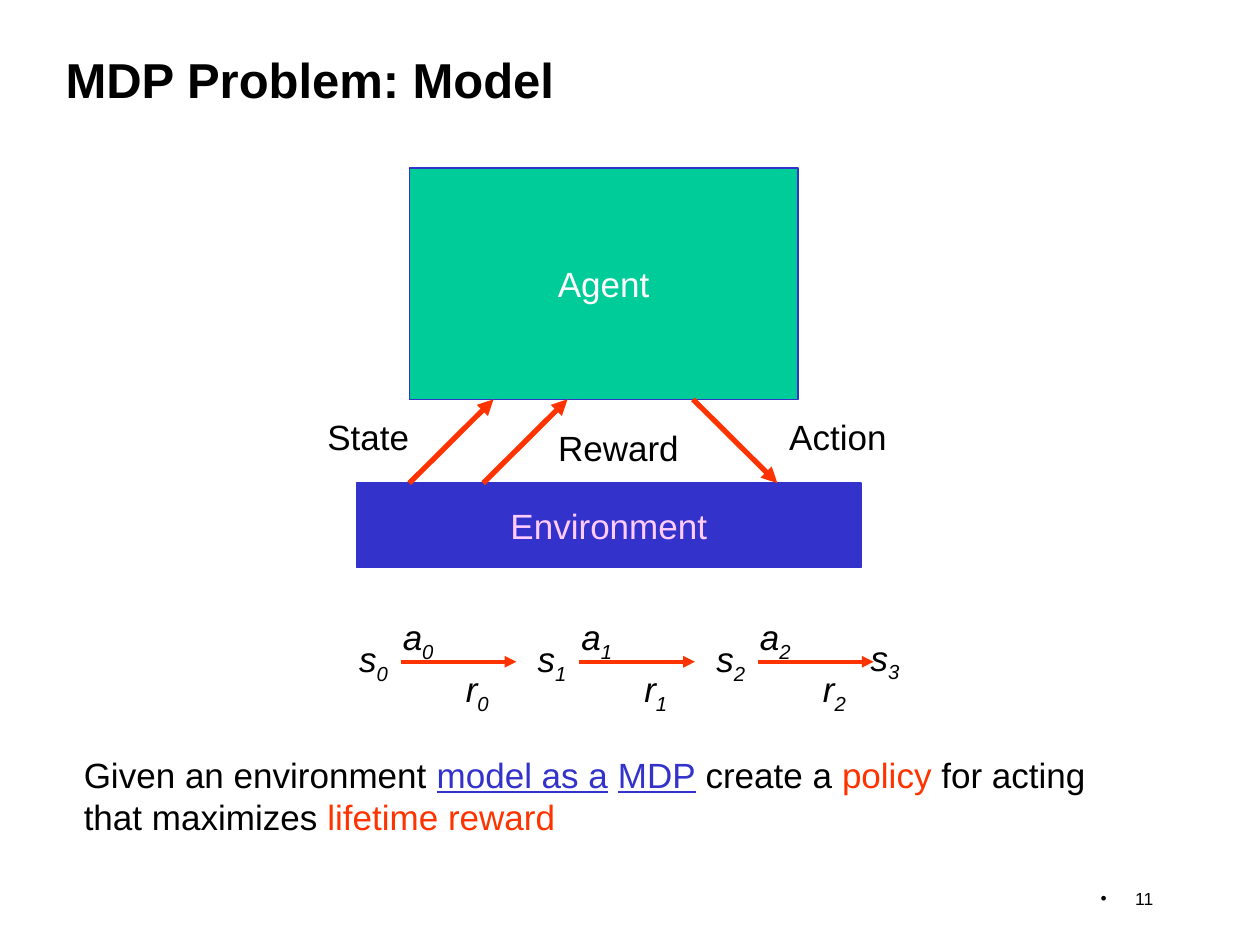
from lxml.etree import SubElement
from pptx import Presentation
from pptx.dml.color import RGBColor
from pptx.enum.shapes import MSO_CONNECTOR, MSO_SHAPE
from pptx.enum.text import MSO_ANCHOR, PP_ALIGN
from pptx.oxml.ns import qn
from pptx.util import Cm, Pt

COLORS = {
    "black": "000000",
    "white": "FFFFFF",
    "green": "00CC99",
    "blue": "3333CC",
    "pink": "FFCCFF",
    "red": "FF3300",
}
FONT = "Arial"
STEP = 3.6  # distance from one state to the next, in cm


def rgb(name):
    return RGBColor.from_string(COLORS[name])


def format_paragraph(paragraph, size=20, color="black"):
    paragraph.font.name = FONT
    paragraph.font.size = Pt(size)
    paragraph.font.color.rgb = rgb(color)


def add_text(slide, left, top, width, height, text="", size=20, wrap=False):
    text_box = slide.shapes.add_textbox(Cm(left), Cm(top), Cm(width), Cm(height))
    text_box.text_frame.word_wrap = wrap
    paragraph = text_box.text_frame.paragraphs[0]
    if text:
        paragraph.add_run().text = text
    format_paragraph(paragraph, size)
    return paragraph


def add_symbol(slide, left, top, width, letter, index):
    """Add an italic letter with a subscript index."""
    paragraph = add_text(slide, left, top, width, 1.09, letter)
    paragraph.font.italic = True
    subscript = paragraph.add_run()
    subscript.text = str(index)
    subscript.font._element.set("baseline", "-25000")


def add_box(slide, left, top, width, height, text, fill, color):
    shape = slide.shapes.add_shape(
        MSO_SHAPE.RECTANGLE, Cm(left), Cm(top), Cm(width), Cm(height))
    shape.shadow.inherit = False
    shape.fill.solid()
    shape.fill.fore_color.rgb = rgb(fill)
    shape.line.color.rgb = rgb("blue")
    shape.line.width = Pt(0.75)
    shape.text_frame.word_wrap = False
    shape.text_frame.vertical_anchor = MSO_ANCHOR.MIDDLE
    paragraph = shape.text_frame.paragraphs[0]
    paragraph.text = text
    paragraph.alignment = PP_ALIGN.CENTER
    format_paragraph(paragraph, color=color)


def add_arrow(slide, start_x, start_y, end_x, end_y, width):
    connector = slide.shapes.add_connector(
        MSO_CONNECTOR.STRAIGHT, Cm(start_x), Cm(start_y), Cm(end_x), Cm(end_y))
    connector.line.color.rgb = rgb("red")
    connector.line.width = Pt(width)
    SubElement(connector.line._get_or_add_ln(), qn("a:tailEnd"), type="triangle")
    SubElement(connector._element.spPr, qn("a:effectLst"))


def add_title(slide, text):
    title = slide.shapes.title
    title.left, title.top, title.width, title.height = (
        Cm(1.07), Cm(0.43), Cm(21.59), Cm(2.34))
    title.text_frame.vertical_anchor = MSO_ANCHOR.MIDDLE
    paragraph = title.text_frame.paragraphs[0]
    paragraph.text = text
    paragraph.alignment = PP_ALIGN.LEFT
    format_paragraph(paragraph, 28)
    paragraph.font.bold = True


def add_loop(slide):
    """Agent and environment with the signals between them."""
    agent_bottom, environment_top = 8.05, 9.74
    add_box(slide, 8.25, 3.39, 7.84, agent_bottom - 3.39, "Agent", "green", "white")
    add_box(slide, 7.19, environment_top, 10.17, 1.7, "Environment", "blue", "pink")
    for left in (8.25, 9.74):
        add_arrow(slide, left, environment_top, left + 1.7, agent_bottom, 3)
    add_arrow(slide, 13.97, agent_bottom, 15.67, environment_top, 3)
    add_text(slide, 6.35, 8.25, 2.3, 1.09, "State")
    add_text(slide, 11, 8.47, 3.1, 1.09, "Reward")
    add_text(slide, 15.66, 8.25, 2.7, 1.09, "Action")


def add_sequence(slide):
    """States joined by an action above and a reward below each arrow."""
    for index in range(3):
        offset = index * STEP
        add_symbol(slide, 6.99 + offset, 12.73, 1.12, "s", index)
        add_symbol(slide, 7.87 + offset, 12.28, 1.17, "a", index)
        add_symbol(slide, 9.14 + offset, 13.34, 0.99, "r", index)
        add_arrow(slide, 8.08 + offset, 13.34, 10.41 + offset, 13.34, 2.25)
    add_symbol(slide, 17.3, 12.7, 1.12, "s", 3)


def add_summary(slide):
    paragraph = add_text(slide, 1.44, 15.06, 21, 1.96, wrap=True)
    parts = [
        ("Given an environment ", "black", False),
        ("model as a", "blue", True),
        (" ", "black", False),
        ("MDP", "blue", True),
        (" create a ", "black", False),
        ("policy", "red", False),
        (" for acting that maximizes ", "black", False),
        ("lifetime reward", "red", False),
    ]
    for text, color, underlined in parts:
        run = paragraph.add_run()
        run.text = text
        run.font.color.rgb = rgb(color)
        if underlined:
            run.font.underline = True


def add_page_number(slide, number):
    paragraph = add_text(slide, 17.35, 17.78, 6.15, 0.84, wrap=True)
    # The bullet has to come before the font settings
    properties = paragraph._p.get_or_add_pPr()
    properties.remove(properties.find(qn("a:defRPr")))
    properties.set("marL", str(Cm(0.7)))
    properties.set("indent", str(-Cm(0.7)))
    SubElement(properties, qn("a:buFont"), typeface=FONT)
    SubElement(properties, qn("a:buChar"), char="•")
    paragraph.add_run().text = number
    paragraph.alignment = PP_ALIGN.RIGHT
    format_paragraph(paragraph, 10)


def main():
    presentation = Presentation()
    presentation.slide_width, presentation.slide_height = Cm(25.4), Cm(19.05)
    slide = presentation.slides.add_slide(presentation.slide_layouts[5])
    add_title(slide, "MDP Problem: Model")
    add_loop(slide)
    add_sequence(slide)
    add_summary(slide)
    add_page_number(slide, "11")
    presentation.save("out.pptx")


if __name__ == "__main__":
    main()
